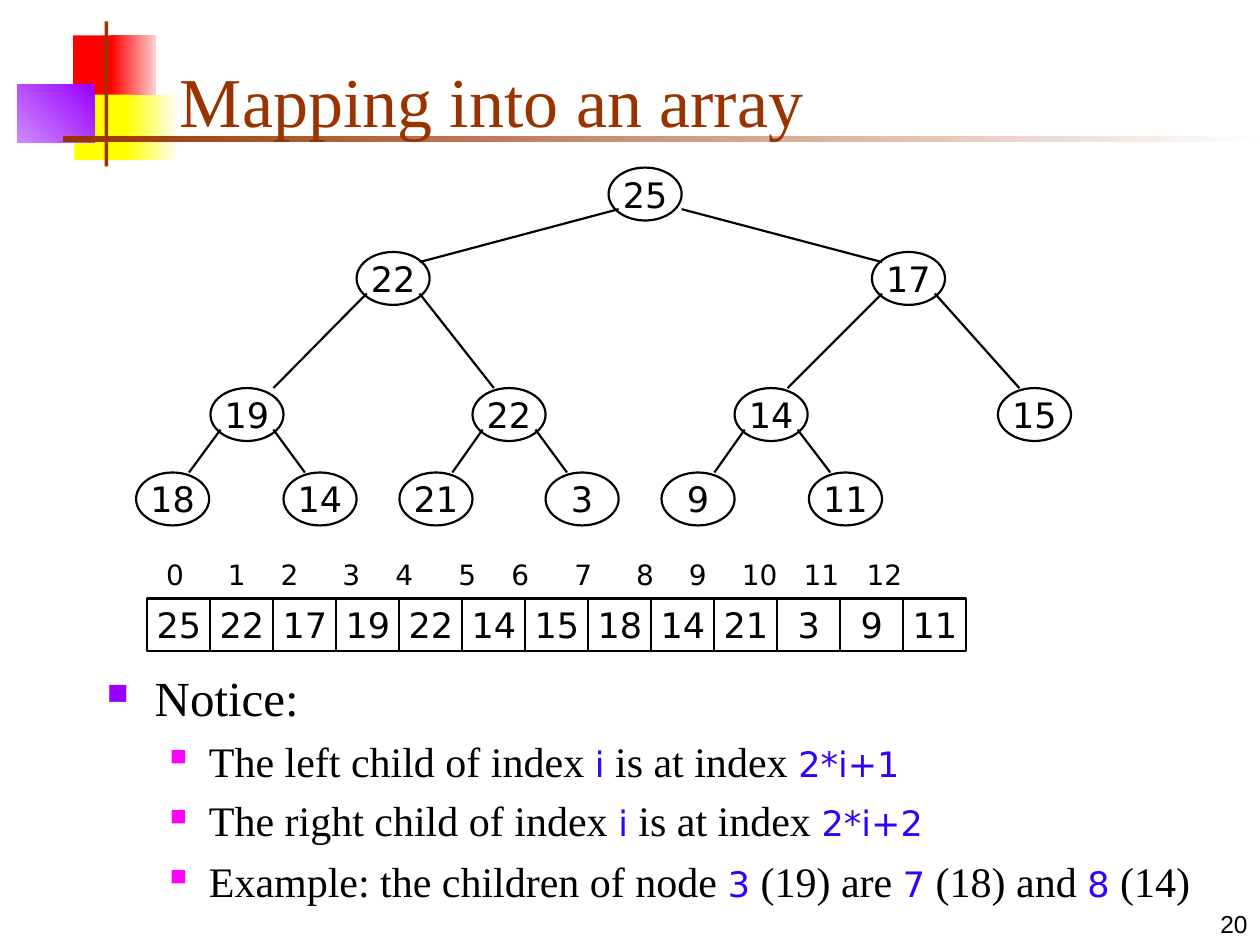
from lxml.etree import SubElement
from pptx import Presentation
from pptx.dml.color import RGBColor
from pptx.enum.shapes import MSO_CONNECTOR, MSO_SHAPE
from pptx.enum.text import MSO_ANCHOR, PP_ALIGN
from pptx.oxml.ns import qn
from pptx.util import Inches, Pt

BLACK = RGBColor(0x00, 0x00, 0x00)
BROWN = RGBColor(0x99, 0x33, 0x00)
RED = RGBColor(0xFF, 0x00, 0x00)
PALE_RED = RGBColor(0xFE, 0xD0, 0xD0)
YELLOW = RGBColor(0xFF, 0xFF, 0x00)
PALE_YELLOW = RGBColor(0xFE, 0xFE, 0xEF)
PURPLE = RGBColor(0x99, 0x00, 0xFF)
PALE_PURPLE = RGBColor(0xCF, 0x8A, 0xFE)
NEAR_WHITE = RGBColor(0xFE, 0xFE, 0xFE)
MAGENTA = RGBColor(0xFF, 0x00, 0xFF)
BLUE = RGBColor(0x33, 0x00, 0xFF)

SERIF, SANS = "Times New Roman", "DejaVu Sans"
LINE_WIDTH = Pt(1.25)
NODE_WIDTH, NODE_HEIGHT, CELL_WIDTH = 0.58, 0.42, 0.5

# Position, then one colour, or two colours and a clockwise angle
DECORATION = [
    ((0.58, 0.28, 0.35, 0.52), (RED,)),
    ((0.88, 0.28, 0.36, 0.52), (PALE_RED, RED, 180)),
    ((0.59, 0.75, 0.46, 0.52), (YELLOW,)),
    ((1, 0.75, 0.4, 0.52), (PALE_YELLOW, YELLOW, 180)),
    ((0.14, 0.67, 0.61, 0.46), (PURPLE, PALE_PURPLE, 135)),
    ((0.83, 0.17, 0.03, 1.15), (BROWN,)),
    ((0.5, 1.08, 9.5, 0.05), (NEAR_WHITE, BROWN, 180)),
]

# Heap in array order, with the left and top of each tree node
HEAP = [25, 22, 17, 19, 22, 14, 15, 18, 14, 21, 3, 9, 11]
NODE_LEFTS = [4.83, 2.83, 6.92, 1.67, 3.75, 5.83, 7.92,
              1.08, 2.25, 3.17, 4.33, 5.25, 6.42]
LEVEL_TOPS = [1.33, 2, 3.08, 3.75]

# Edge ends: x offset in the parent, then x and y offsets in the child
LEFT_EDGE, RIGHT_EDGE = (0.08, 0.42, 0), (0.5, 0.17, 0)
SPECIAL_EDGES = {1: (0.08, 0.5, 0.08), 2: (0.58, 0.08, 0.08), 3: (0.08, 0.5, 0)}

INDEX_TABS = [0.21, 0.7, 1.12, 1.61, 2.03, 2.53, 2.95,
              3.45, 3.94, 4.36, 4.85, 5.34, 5.84]

# Pieces of each note alternate between plain text and code
NOTES = [
    (5, ["The left child of index ", "i", " is at index ", "2*i+1"]),
    (5, ["The right child of index ", "i", " is at index ", "2*i+2"]),
    (6, ["Example: the children of node ", "3", " (19) are ", "7",
         " (18) and ", "8", " (14)"]),
]


def set_font(font, name, size, color):
    font.name, font.size = name, Pt(size)
    font.color.rgb = color


def add_block(page, place, colors):
    block = page.shapes.add_shape(MSO_SHAPE.RECTANGLE, *map(Inches, place))
    block.shadow.inherit = False
    block.line.fill.background()
    if len(colors) == 1:
        block.fill.solid()
        block.fill.fore_color.rgb = colors[0]
        return
    first, last, angle = colors
    block.fill.gradient()
    block.fill.gradient_angle = 360 - angle
    for stop, color, position in zip(block.fill.gradient_stops, (first, last), (0, 1)):
        stop.color.rgb = color
        stop.position = position


def add_value(group, kind, left, top, width, value):
    shape = group.shapes.add_shape(
        kind, Inches(left), Inches(top), Inches(width), Inches(NODE_HEIGHT))
    shape.shadow.inherit = False
    shape.fill.background()
    shape.line.color.rgb = BLACK
    shape.line.width = LINE_WIDTH
    frame = shape.text_frame
    frame.word_wrap = False
    frame.vertical_anchor = MSO_ANCHOR.MIDDLE
    para = frame.paragraphs[0]
    para.text = str(value)
    para.alignment = PP_ALIGN.CENTER
    set_font(para.font, SANS, 20, BLACK)


def add_edge(group, start, end):
    edge = group.shapes.add_connector(
        MSO_CONNECTOR.STRAIGHT, *map(Inches, (*start, *end)))
    edge.line.color.rgb = BLACK
    edge.line.width = LINE_WIDTH
    SubElement(edge._element.spPr, qn("a:effectLst"))


def add_text_box(shapes, place, anchor=MSO_ANCHOR.TOP):
    frame = shapes.add_textbox(*map(Inches, place)).text_frame
    frame.word_wrap = True
    frame.vertical_anchor = anchor
    return frame


def add_line_of_text(page, place, text, font, align=PP_ALIGN.LEFT):
    para = add_text_box(page.shapes, place, MSO_ANCHOR.BOTTOM).paragraphs[0]
    para.text = text
    para.alignment = align
    set_font(para.font, *font)


def set_bullet(para, margin, indent, color, percent):
    properties = para._p.get_or_add_pPr()
    properties.set("marL", str(Inches(margin)))
    properties.set("indent", str(Inches(indent)))
    bullet_color = SubElement(properties, qn("a:buClr"))
    SubElement(bullet_color, qn("a:srgbClr"), val=str(color))
    SubElement(properties, qn("a:buSzPct"), val=str(percent * 1000))
    SubElement(properties, qn("a:buChar"), char="■")


def add_tree(page):
    tree = page.shapes.add_group_shape()
    tops = [LEVEL_TOPS[(i + 1).bit_length() - 1] for i in range(len(HEAP))]
    for left, top, value in zip(NODE_LEFTS, tops, HEAP):
        add_value(tree, MSO_SHAPE.OVAL, left, top, NODE_WIDTH, value)
    for child in range(1, len(HEAP)):
        parent = (child - 1) // 2
        usual = LEFT_EDGE if child % 2 else RIGHT_EDGE
        start_x, end_x, end_y = SPECIAL_EDGES.get(child, usual)
        add_edge(tree,
                 (NODE_LEFTS[parent] + start_x, tops[parent] + 0.33),
                 (NODE_LEFTS[child] + end_x, tops[child] + end_y))


def add_array(page):
    array = page.shapes.add_group_shape()
    for i, value in enumerate(HEAP):
        add_value(array, MSO_SHAPE.RECTANGLE, 1.17 + i * CELL_WIDTH, 4.75,
                  CELL_WIDTH, value)

    # Index labels on centred tab stops
    para = add_text_box(array.shapes, (1.08, 4.38, 6.92, 0.37)).paragraphs[0]
    para.text = "".join(f"\t{i}" for i in range(len(HEAP)))
    tabs = SubElement(para._p.get_or_add_pPr(), qn("a:tabLst"))
    for position in INDEX_TABS:
        SubElement(tabs, qn("a:tab"), pos=str(Inches(position)), algn="ctr")
    set_font(para.font, SANS, 16, BLACK)


def add_notes(page):
    frame = add_text_box(page.shapes, (0.75, 5.25, 9, 2.08))
    heading = frame.paragraphs[0]
    heading.text = "Notice:"
    heading.space_before = Pt(7)
    set_bullet(heading, 0.38, -0.38, PURPLE, 60)
    set_font(heading.font, SERIF, 28, BLACK)
    for space, pieces in NOTES:
        para = frame.add_paragraph()
        para.level = 1
        para.space_before = Pt(space)
        set_bullet(para, 0.81, -0.31, MAGENTA, 55)
        for i, piece in enumerate(pieces):
            span = para.add_run()
            span.text = piece
            style = (SANS, 20, BLUE) if i % 2 else (SERIF, 24, BLACK)
            set_font(span.font, *style)


def main():
    deck = Presentation()
    deck.slide_width, deck.slide_height = Inches(10), Inches(7.5)
    page = deck.slides.add_slide(deck.slide_layouts[6])
    for place, colors in DECORATION:
        add_block(page, place, colors)
    add_line_of_text(page, (1.33, 0.25, 8.52, 0.92), "Mapping into an array",
                     (SERIF, 40, BROWN))
    add_notes(page)
    add_tree(page)
    add_array(page)
    add_line_of_text(page, (7.92, 7, 2.08, 0.5), "20", ("Arial", 14, BLACK),
                     PP_ALIGN.RIGHT)
    deck.save("out.pptx")


if __name__ == "__main__":
    main()
